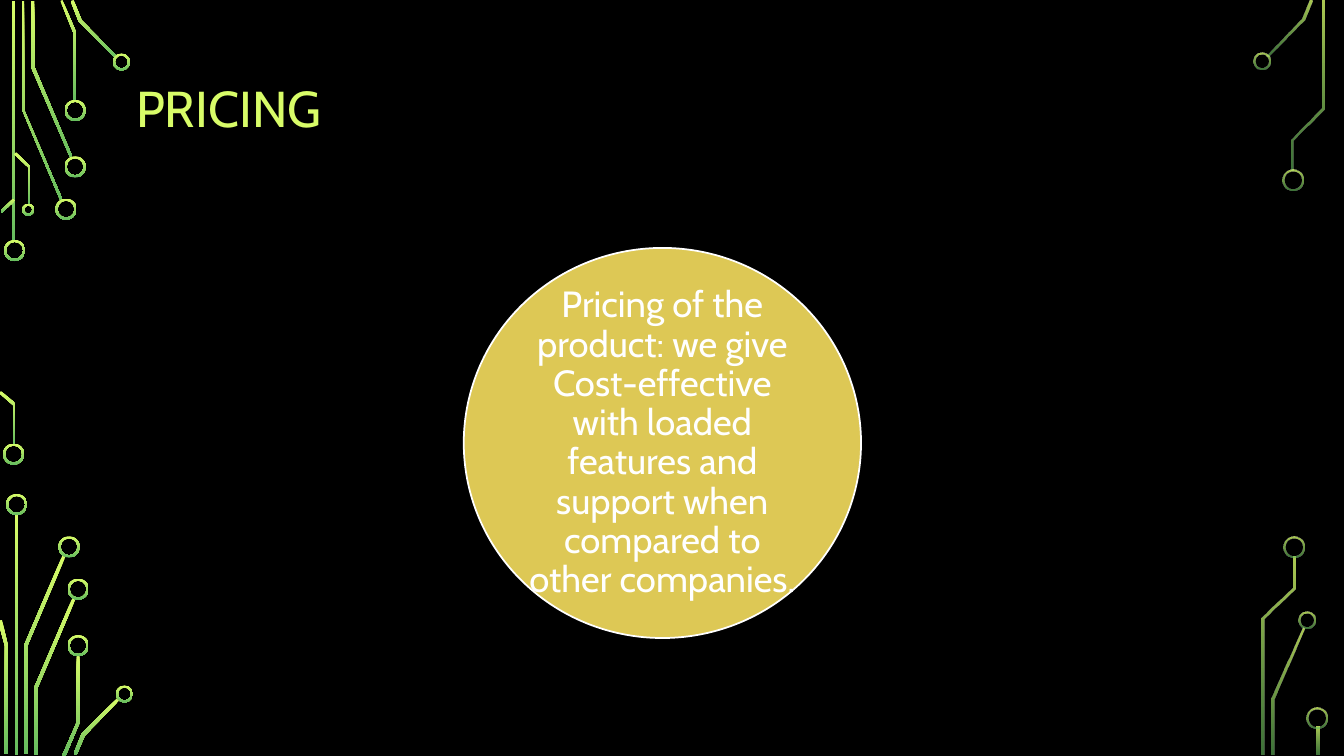
from lxml import etree
from pptx import Presentation
from pptx.dml.color import RGBColor
from pptx.enum.shapes import MSO_SHAPE
from pptx.enum.text import MSO_ANCHOR, MSO_AUTO_SIZE, PP_ALIGN
from pptx.oxml.ns import qn
from pptx.util import Pt

BAR, RING, DISC = MSO_SHAPE.RECTANGLE, MSO_SHAPE.DONUT, MSO_SHAPE.OVAL
MIDDLE, FIXED = MSO_ANCHOR.MIDDLE, MSO_AUTO_SIZE.NONE
LEFT, CENTER = PP_ALIGN.LEFT, PP_ALIGN.CENTER
PX = 9144
WIDE, HIGH = 1333, 750
FONT = "Cabin"
COLORS = {"back": "000000", "lime": "D8FC68", "green": "66BD5F",
          "gold": "DDC855", "white": "FFFFFF"}
SOLID, FADED = (100, 100), (80, 60)

LEFT_BARS = [(12, 1, 3, 239), (15, 510, 3, 239)]
LEFT_RINGS = [
    (4, 238, 21), (3, 440, 21), (55, 197, 21), (64, 155, 21), (64, 99, 21),
    (112, 53, 17), (22, 202, 12), (6, 490, 21), (58, 532, 21), (67, 574, 21),
    (67, 630, 21), (115, 680, 17),
]
LEFT_WIRES = [
    [(60, 199), (22, 109), (22, 1), (24, 1), (24, 109), (62, 198)],
    [(70, 157), (31, 67), (31, 1), (34, 1), (34, 66), (72, 156)],
    [(76, 100), (73, 100), (73, 33), (60, 1), (62, 0), (76, 33)],
    [(115, 58), (78, 21), (70, 1), (73, 0), (81, 20), (116, 56)],
    [(2, 211), (1, 209), (13, 197), (15, 199)],
    [(15, 441), (13, 441), (13, 402), (-1, 390), (1, 388), (15, 400)],
    [(30, 203), (28, 203), (28, 166), (14, 153), (16, 151), (30, 165)],
    [(27, 748), (24, 748), (24, 640), (62, 551), (65, 552), (27, 641)],
    [(8, 748), (5, 748), (5, 641), (-2, 616), (2, 615), (8, 641)],
    [(37, 749), (34, 749), (34, 682), (72, 593), (75, 594), (37, 683)],
    [(65, 750), (62, 749), (76, 717), (76, 650), (79, 650), (79, 717)],
    [(76, 749), (73, 748), (81, 728), (117, 692), (119, 694), (84, 730)],
]
RIGHT_BARS = [(1306, 721, 3, 28)]
RIGHT_RINGS = [(1243, 52, 17), (1272, 168, 21), (1288, 607, 17),
               (1273, 532, 21), (1296, 702, 21)]
RIGHT_WIRES = [
    [(1258, 56), (1256, 55), (1291, 19), (1299, 0), (1302, 1), (1294, 20)],
    [(1264, 749), (1261, 749), (1261, 693), (1292, 623), (1294, 624),
     (1264, 694)],
    [(1283, 169), (1281, 169), (1281, 138), (1311, 107), (1311, 1),
     (1314, 1), (1314, 108), (1283, 139)],
    [(1254, 749), (1251, 749), (1251, 613), (1282, 583), (1282, 552),
     (1285, 552), (1285, 584), (1254, 614)],
]


def tint(name):
    return RGBColor.from_string(COLORS[name])


def apply(item, values):
    for key, value in values.items():
        setattr(item, key, value)


class Board:
    """Draws styled elements on the current slide."""

    def __init__(self, deck):
        self.slide = deck.slides.add_slide(deck.slide_layouts[5])
        self.shapes = self.slide.shapes
        fill = self.slide.background.fill
        fill.solid()
        fill.fore_color.rgb = tint("back")

    def place(self, kind, *box):
        shape = self.shapes.add_shape(kind, *(n * PX for n in box))
        shape.shadow.inherit = False
        return shape

    def glow(self, shape, alphas):
        shape.shadow.inherit = False
        shape.line.fill.background()
        shape.fill.gradient()
        shape.fill.gradient_angle = 270
        for stop, name in zip(shape.fill.gradient_stops, ("lime", "green")):
            stop.color.rgb = tint(name)
        nodes = shape.element.spPr.iter(qn("a:srgbClr"))
        for node, alpha in zip(list(nodes), alphas):
            if alpha < 100:
                etree.SubElement(node, qn("a:alpha"), val=str(alpha * 1000))

    def bar(self, box, alphas):
        self.glow(self.place(BAR, *box), alphas)

    def ring(self, x, y, size, alphas):
        shape = self.place(RING, x, y, size, size)
        shape.adjustments[0] = 2 / size
        self.glow(shape, alphas)

    def wire(self, points, alphas):
        pen = self.shapes.build_freeform(*points[0], scale=PX)
        pen.add_line_segments(points[1:], close=True)
        self.glow(pen.convert_to_shape(), alphas)

    def circuit(self, bars, rings, wires, alphas):
        for box in bars:
            self.bar(box, alphas)
        for points in wires:
            self.wire(points, alphas)
        for spot in rings:
            self.ring(*spot, alphas)

    def disc(self, box, fill, line):
        shape = self.place(DISC, *box)
        shape.fill.solid()
        shape.fill.fore_color.rgb = tint(fill)
        shape.line.color.rgb = tint(line)
        shape.line.width = Pt(1.25)

    def letter(self, shape, text, size, color, align, pads):
        frame = shape.text_frame
        frame.text = text
        apply(frame, {"word_wrap": True, "auto_size": FIXED,
                      "vertical_anchor": MIDDLE})
        for side, pad in zip(("left", "right", "top", "bottom"), pads):
            setattr(frame, "margin_" + side, pad * PX)
        para = frame.paragraphs[0]
        apply(para, {"alignment": align, "line_spacing": 0.9})
        font = para.runs[0].font
        apply(font, {"name": FONT, "size": Pt(size)})
        font.color.rgb = tint(color)

    def title(self, box, text):
        shape = self.shapes.title
        sides = ("left", "top", "width", "height")
        apply(shape, {side: n * PX for side, n in zip(sides, box)})
        self.letter(shape, text, 36, "lime", LEFT, (10, 10, 5, 5))

    def label(self, box, text):
        shape = self.shapes.add_textbox(*(n * PX for n in box))
        self.letter(shape, text, 26, "white", CENTER, (4, 4, 4, 4))


def main():
    deck = Presentation()
    apply(deck, {"slide_width": WIDE * PX, "slide_height": HIGH * PX})
    board = Board(deck)
    board.circuit(LEFT_BARS, LEFT_RINGS, LEFT_WIRES, SOLID)
    board.circuit(RIGHT_BARS, RIGHT_RINGS, RIGHT_WIRES, FADED)
    board.title((125, 68, 1083, 84), "PRICING")
    board.disc((460, 246, 394, 387), "gold", "white")
    board.label((518, 303, 278, 274),
                "Pricing of the product: we give Cost-effective with loaded "
                "features and support when compared to other companies.")
    deck.save("out.pptx")


if __name__ == "__main__":
    main()
